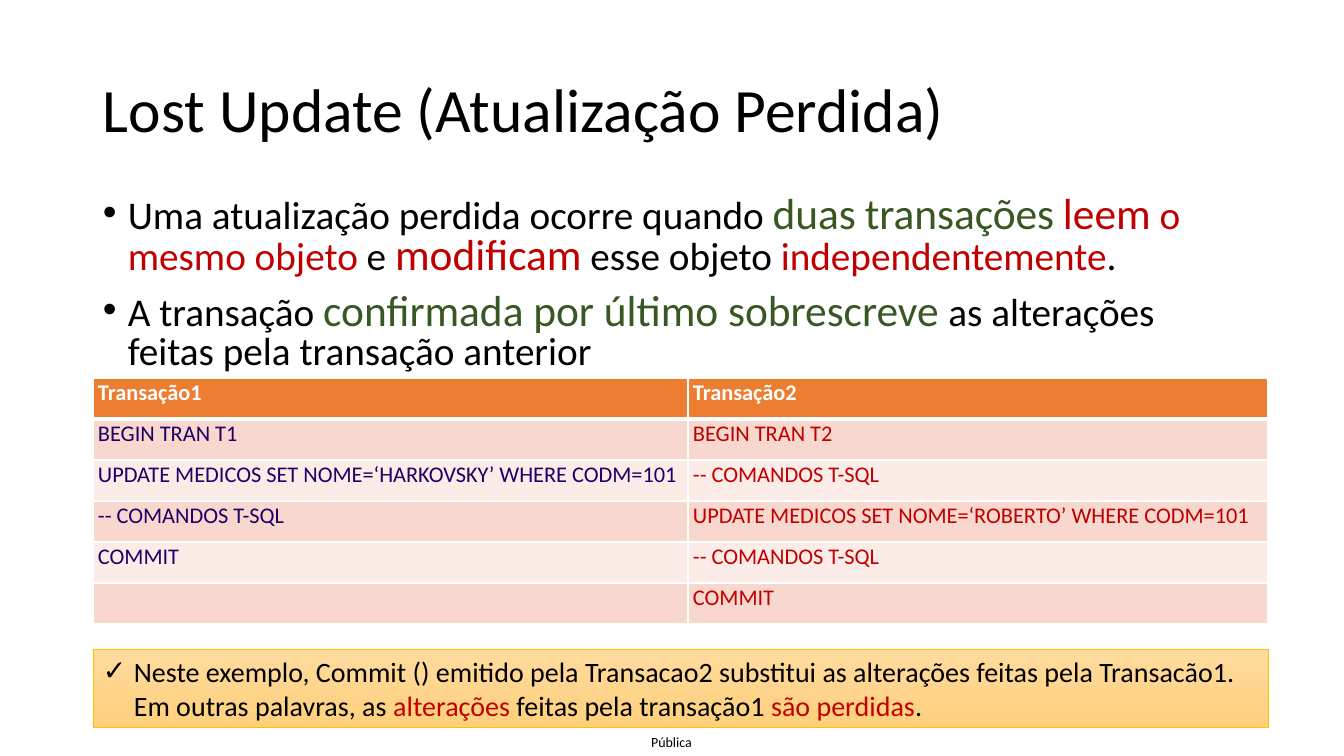
"""Builds the slide that explains the lost update problem with two transactions."""
from dataclasses import dataclass

from lxml.etree import SubElement
from pptx import Presentation
from pptx.dml.color import RGBColor
from pptx.enum.shapes import MSO_SHAPE as SHAPE
from pptx.enum.text import MSO_ANCHOR as ANCHOR, PP_ALIGN as ALIGN
from pptx.oxml.ns import qn
from pptx.util import Pt

SCALE = 914400 / 100.8


@dataclass(frozen=True)
class Theme:
    font: str = "Calibri"
    black: str = "000000"
    white: str = "FFFFFF"
    red: str = "C00000"
    green: str = "385723"
    navy: str = "1F0066"
    header: str = "ED7D31"
    bands: tuple = ("F8D7CE", "FCECE8")
    glow: tuple = ("FFDB9E", "FFD07C")
    edge: str = "FFC000"
    title: int = 44
    big: int = 31
    body: int = 28
    note: int = 20
    cell: int = 16
    small: int = 10


T = Theme()
GREEN = dict(size=T.big, color=T.green)
RED_BIG = dict(size=T.big, color=T.red)
RED = dict(color=T.red)

BULLETS = [
    [("Uma atualização perdida ocorre quando ", {}), ("duas", GREEN), (" ", {}),
     ("transações", GREEN), (" ", {}), ("leem", RED_BIG), (" o mesmo objeto", RED),
     (" e ", {}), ("modificam", RED_BIG), (" esse objeto ", {}),
     ("independentemente", RED), (".", {})],
    [("A transação ", {}), ("confirmada por último sobrescreve ", GREEN),
     ("as alterações feitas pela transação anterior", {})],
]
NOTE = [
    [("Neste exemplo, Commit () emitido pela Transacao2 substitui as alterações feitas "
      "pela Transacão1. Em outras palavras, as ", {}), ("alterações", RED),
     (" feitas pela transação1 ", {}), ("são perdidas", RED), (".", {})],
]
STEPS = [
    ("Transação1", "Transação2"),
    ("BEGIN TRAN T1", "BEGIN TRAN T2"),
    ("UPDATE MEDICOS SET NOME=‘HARKOVSKY’ WHERE CODM=101", "-- COMANDOS T-SQL"),
    ("-- COMANDOS T-SQL", "UPDATE MEDICOS SET NOME=‘ROBERTO’ WHERE CODM=101"),
    ("COMMIT", "-- COMANDOS T-SQL"),
    ("", "COMMIT"),
]


def px(n):
    return round(n * SCALE)


def rgb(color):
    return RGBColor.from_string(color)


def add_run(p, text, size, color=T.black, bold=False):
    r = p.add_run()
    r.text = text
    r.font.name, r.font.size, r.font.bold = T.font, Pt(size), bold
    r.font.color.rgb = rgb(color)


def set_bullet(p, char, font, indent):
    pPr = p._p.get_or_add_pPr()
    pPr.set("marL", str(px(indent)))
    pPr.set("indent", str(-px(indent)))
    SubElement(pPr, qn("a:buFont"), typeface=font)
    SubElement(pPr, qn("a:buChar"), char=char)


def write(tf, paragraphs, size, align=ALIGN.LEFT, spacing=None, before=0,
          anchor=ANCHOR.TOP, bullet=None, inset=None):
    tf.word_wrap, tf.vertical_anchor = True, anchor
    if inset is not None:
        tf.margin_left = tf.margin_right = tf.margin_top = tf.margin_bottom = px(inset)
    for i, runs in enumerate(paragraphs):
        p = tf.add_paragraph() if i else tf.paragraphs[0]
        p.alignment, p.line_spacing, p.space_before = align, spacing, Pt(before)
        if bullet:
            set_bullet(p, *bullet)
        for text, style in runs:
            add_run(p, text, **{"size": size, **style})


def add_text(slide, box, paragraphs, size, **layout):
    s = slide.shapes.add_textbox(*map(px, box))
    write(s.text_frame, paragraphs, size, **layout)


def add_note(slide, box, paragraphs):
    s = slide.shapes.add_shape(SHAPE.RECTANGLE, *map(px, box))
    s.shadow.inherit = False
    s.fill.gradient()
    s.fill.gradient_angle = 270
    for stop, color in zip(s.fill.gradient_stops, T.glow):
        stop.color.rgb = rgb(color)
    s.line.color.rgb, s.line.width = rgb(T.edge), Pt(0.5)
    write(s.text_frame, paragraphs, T.note, anchor=ANCHOR.MIDDLE,
          bullet=("✓", T.font, 31))


def set_borders(cell, bottom):
    tcPr = cell._tc.get_or_add_tcPr()
    for side, width in (("L", 1), ("R", 1), ("T", 1), ("B", bottom)):
        ln = SubElement(tcPr, qn(f"a:ln{side}"), w=str(Pt(width)))
        SubElement(SubElement(ln, qn("a:solidFill")), qn("a:srgbClr"), val=T.white)


def add_steps(slide, left, top, widths, row_height):
    rows = len(STEPS)
    table = slide.shapes.add_table(rows, len(widths), px(left), px(top),
                                   px(sum(widths)), px(row_height * rows)).table
    for column, width in zip(table.columns, widths):
        column.width = px(width)
    for i, texts in enumerate(STEPS):
        head = i == 0
        for j, text in enumerate(texts):
            cell = table.cell(i, j)
            cell.margin_left = cell.margin_right = px(5)
            cell.margin_top = cell.margin_bottom = px(1)
            set_borders(cell, 3 if head or i == 1 and False else 1)
            cell.fill.solid()
            cell.fill.fore_color.rgb = rgb(T.header if head else T.bands[(i - 1) % 2])
            if text:
                color = T.white if head else (T.navy, T.red)[j]
                add_run(cell.text_frame.paragraphs[0], text, T.cell, color, head)


def main():
    prs = Presentation()
    prs.slide_width, prs.slide_height = px(1344), px(756)
    slide = prs.slides.add_slide(prs.slide_layouts[6])
    add_text(slide, (636, 727, 71, 29), [[("Pública", {})]], T.small,
             align=ALIGN.CENTER, anchor=ANCHOR.MIDDLE, inset=0)
    add_steps(slide, 93, 378, (595, 580), 41)
    add_text(slide, (93, 40, 1159, 146), [[("Lost Update (Atualização Perdida)", {})]],
             T.title, spacing=0.9, anchor=ANCHOR.MIDDLE)
    add_text(slide, (93, 191, 1159, 194), BULLETS, T.body, spacing=0.8, before=10,
             bullet=("•", "Arial", 25))
    add_note(slide, (93, 649, 1175, 78), NOTE)
    prs.save("out.pptx")


main()
